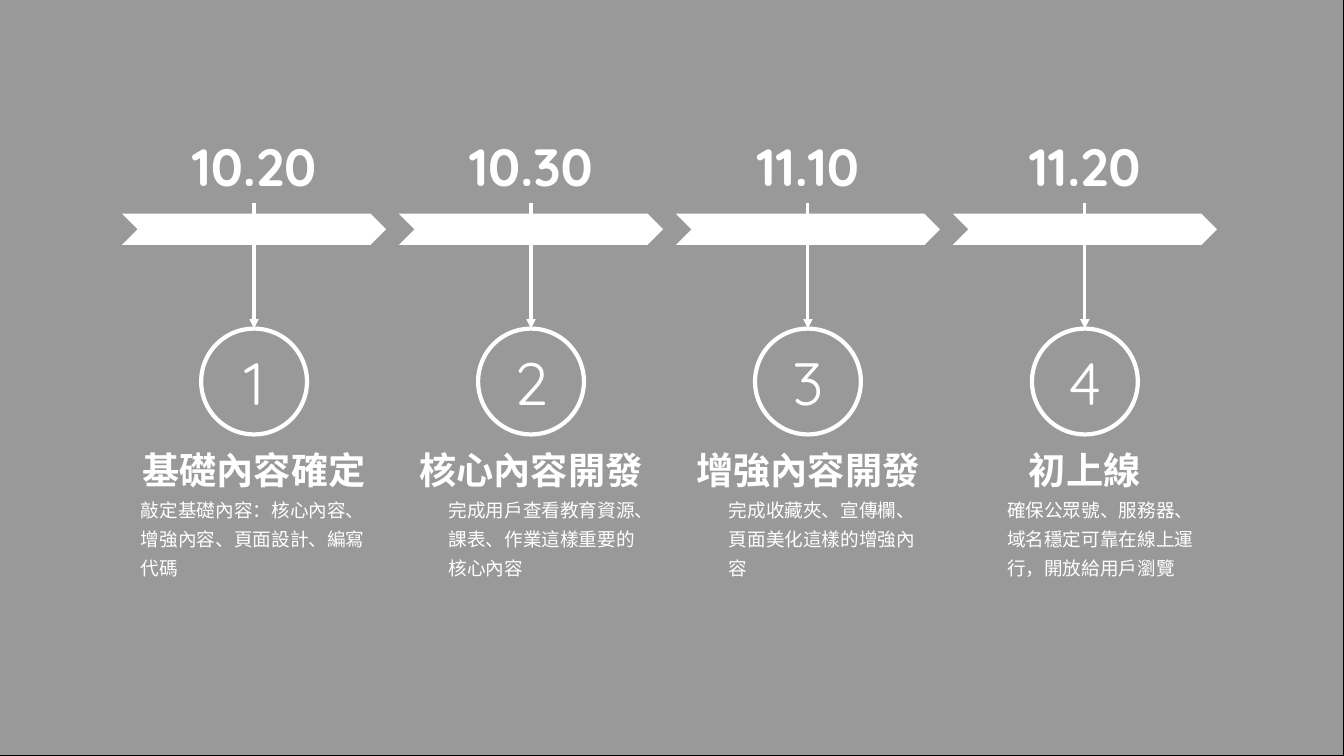
import pptx
import pptx.util
import pptx.dml.color
import pptx.enum.shapes
import pptx.enum.text
import pptx.oxml
import pptx.oxml.ns

Inches = pptx.util.Inches
Pt = pptx.util.Pt
SHAPE = pptx.enum.shapes.MSO_SHAPE
CENTER = pptx.enum.text.PP_ALIGN.CENTER
LEFT = pptx.enum.text.PP_ALIGN.LEFT
WHITE = pptx.dml.color.RGBColor(255, 255, 255)
BLACK = pptx.dml.color.RGBColor(0, 0, 0)

FIRST_CENTER, LAST_CENTER = 2.52, 10.76
DATE_TOP, DATE_WIDTH, DATE_HEIGHT = 1.28, 1.51, 0.73
ARROW_TOP, ARROW_WIDTH, ARROW_HEIGHT = 2.12, 2.62, 0.31
CIRCLE_TOP, CIRCLE_SIZE = 3.26, 1.05
TITLE_TOP, TITLE_WIDTH, TITLE_HEIGHT = 4.39, 2.44, 0.55
DETAIL_TOP, DETAIL_HEIGHT = 4.83, 0.98

FORMATS = {
    "date": {"size": Pt(37.4), "bold": True},
    "number": {"size": Pt(42.6), "bold": False},
    "title": {"size": Pt(26.6), "bold": True},
    "detail": {"size": Pt(13.3), "bold": False},
}

STAGES = [
    ("10.20", "基礎內容確定", "敲定基礎內容：核心內容、增強內容、頁面設計、編寫代碼", 1.3, 2.44),
    ("10.30", "核心內容開發", "完成用戶查看教育資源、課表、作業這樣重要的核心內容", 4.35, 2.15),
    ("11.10", "增強內容開發", "完成收藏夾、宣傳欄、頁面美化這樣的增強內容", 7.13, 2.15),
    ("11.20", "初上線", "確保公眾號、服務器、域名穩定可靠在線上運行，開放給用戶瀏覽", 9.89, 2.15),
]

deck = pptx.Presentation()
deck.slide_width = Inches(13.33)
deck.slide_height = Inches(7.5)
page = deck.slides.add_slide(deck.slide_layouts[6])


def write(box, text, kind, align=CENTER, wrap=True):
    box.text_frame.word_wrap = wrap
    para = box.text_frame.paragraphs[0]
    para.alignment = align
    span = para.add_run()
    span.text = text
    span.font.name = "Quicksand"
    span.font.color.rgb = WHITE
    for name, value in FORMATS[kind].items():
        setattr(span.font, name, value)
    return para


def add_box(left, top, width, height, preset=None):
    place = [Inches(length) for length in (left, top, width, height)]
    if preset is None:
        return page.shapes.add_textbox(*place)
    shape = page.shapes.add_shape(preset, *place)
    shape.shadow.inherit = False
    return shape


veil = add_box(0, 0, 13.33, 7.5, SHAPE.RECTANGLE)
veil.fill.solid()
veil.fill.fore_color.rgb = BLACK
veil.line.color.rgb = BLACK
veil.line.width = Pt(0.75)
veil_color = veil.fill._xPr.find(".//" + pptx.oxml.ns.qn("a:srgbClr"))
veil_color.append(pptx.oxml.parse_xml(
    f'<a:alpha {pptx.oxml.ns.nsdecls("a")} val="40000"/>'))

step = (LAST_CENTER - FIRST_CENTER) / (len(STAGES) - 1)
for column, (day, title, detail, detail_left, detail_width) in enumerate(STAGES):
    center = FIRST_CENTER + column * step

    arrow = add_box(center - ARROW_WIDTH / 2, ARROW_TOP, ARROW_WIDTH, ARROW_HEIGHT, SHAPE.CHEVRON)
    arrow.fill.solid()
    arrow.fill.fore_color.rgb = WHITE
    arrow.line.fill.background()

    date_box = add_box(center - DATE_WIDTH / 2, DATE_TOP, DATE_WIDTH, DATE_HEIGHT)
    write(date_box, day, "date", wrap=False)

    circle = add_box(center - CIRCLE_SIZE / 2, CIRCLE_TOP, CIRCLE_SIZE, CIRCLE_SIZE, SHAPE.OVAL)
    circle.fill.background()
    circle.line.color.rgb = WHITE
    circle.line.width = Pt(3)
    circle.text_frame.vertical_anchor = pptx.enum.text.MSO_ANCHOR.MIDDLE
    write(circle, str(column + 1), "number")

    stem = page.shapes.add_connector(
        pptx.enum.shapes.MSO_CONNECTOR.STRAIGHT,
        Inches(center), Inches(DATE_TOP + DATE_HEIGHT), Inches(center), Inches(CIRCLE_TOP))
    stem.begin_connect(date_box, 2)
    stem.end_connect(circle, 0)
    stem.line.color.rgb = WHITE
    stem.line.width = Pt(2.25)
    stem.line._get_or_add_ln().append(pptx.oxml.parse_xml(
        f'<a:tailEnd {pptx.oxml.ns.nsdecls("a")} type="triangle"/>'))
    stem._element.spPr.append(pptx.oxml.parse_xml(
        f'<a:effectLst {pptx.oxml.ns.nsdecls("a")}/>'))

    title_box = add_box(center - TITLE_WIDTH / 2, TITLE_TOP, TITLE_WIDTH, TITLE_HEIGHT)
    write(title_box, title, "title")

    detail_box = add_box(detail_left, DETAIL_TOP, detail_width, DETAIL_HEIGHT)
    write(detail_box, detail, "detail", align=LEFT).line_spacing = 1.3

deck.save("out.pptx")
